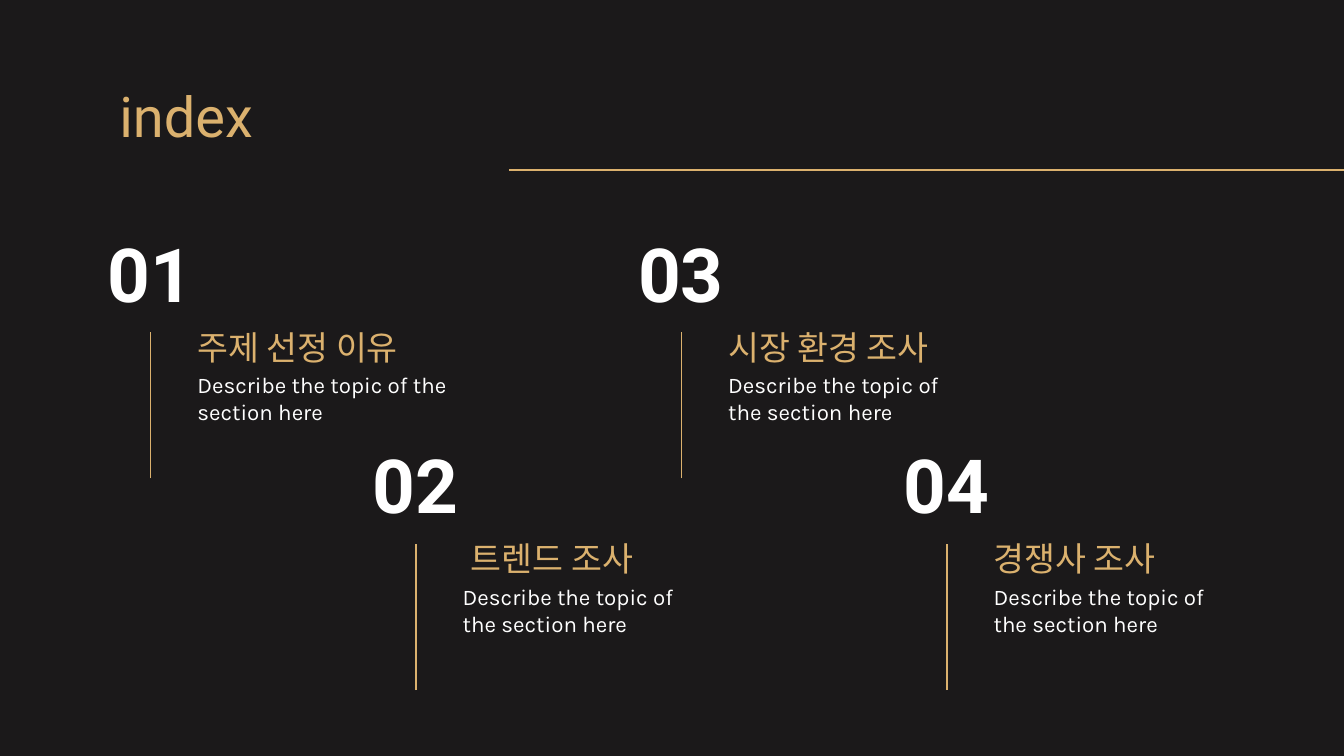
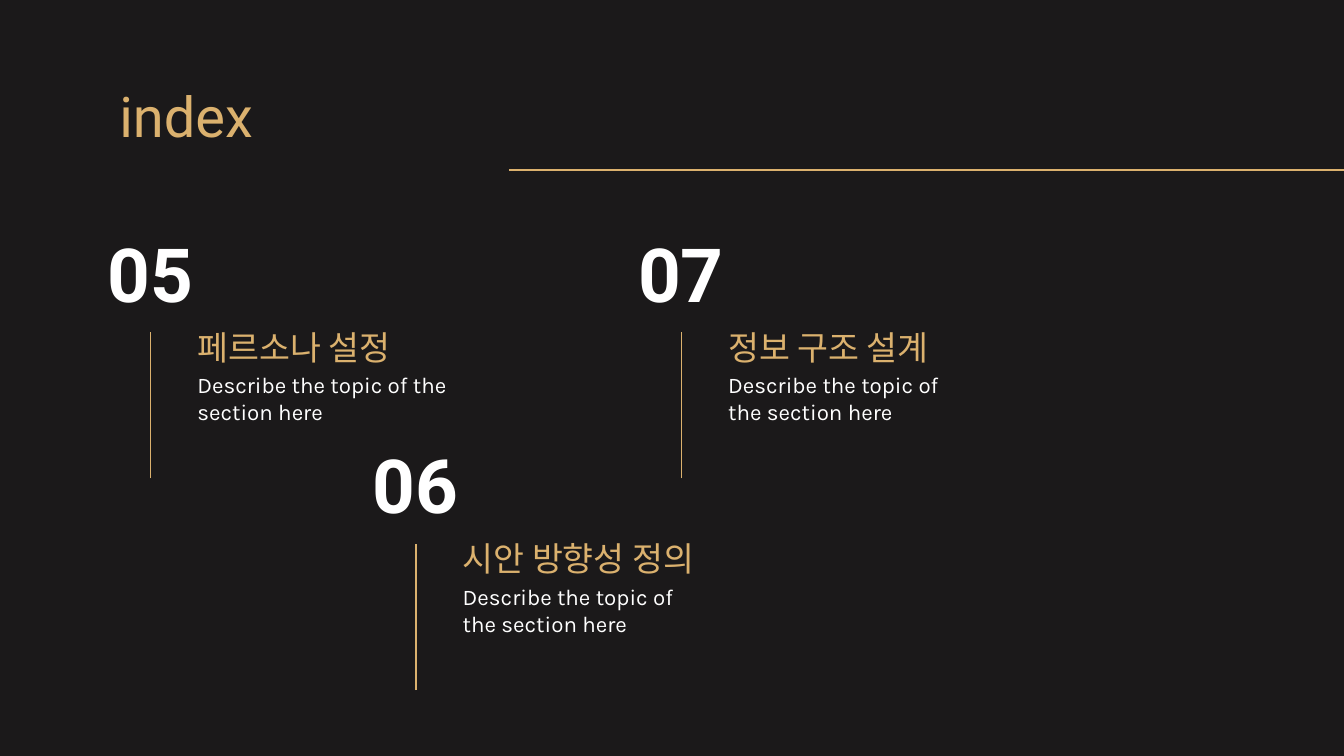
from dataclasses import dataclass

from pptx import Presentation
from pptx import util as u
from pptx.dml import color
from pptx.enum import shapes, text
from pptx.oxml import ns
from lxml import etree

PX = 4572
SLIDE_WIDTH, SLIDE_HEIGHT = 2000, 1125
COLUMN_STEP, ROW_STEP = 395, 315
NUMBER_LEFT, LINE_LEFT, TEXT_LEFT = 140, 224, 274
NUMBER_TOP, NAME_TOP, LINE_TOP, DESCRIPTION_TOP = 338, 450, 494, 533
LINE_HEIGHT = 218
DESCRIPTION = "Describe the topic of the section here"


@dataclass(frozen=True)
class Theme:
    background: str = "1B191A"
    gold: str = "DBB16E"
    white: str = "FFFFFF"
    heading_font: str = "Roboto"
    body_font: str = "Karla"
    title_size: int = 30
    number_size: int = 40
    topic_size: int = 18
    body_size: int = 12
    line_width: float = 0.75
    inset: int = 20


@dataclass(frozen=True)
class Topic:
    name: str
    width: int = 408
    description_width: int = 408
    indent: int = 0


THEME = Theme()

INDEX_PAGES = [
    [
        Topic("주제 선정 이유", description_width=442),
        Topic("트렌드 조사", indent=12),
        Topic("시장 환경 조사", width=520),
        Topic("경쟁사 조사"),
    ],
    [
        Topic("페르소나 설정", description_width=442),
        Topic("시안 방향성 정의", width=520),
        Topic("정보 구조 설계", width=520),
    ],
]


def px(length: int) -> u.Emu:
    return u.Emu(length * PX)


def add_text(slide, content: str, left: int, top: int, width: int, height: int, *,
             size: int, ink: str, font: str = THEME.heading_font, bold: bool = False,
             anchor=text.MSO_ANCHOR.MIDDLE, indent: int = 0) -> None:
    box = slide.shapes.add_textbox(px(left), px(top), px(width), px(height))
    frame = box.text_frame
    frame.word_wrap = True
    frame.vertical_anchor = anchor
    frame.margin_left = px(THEME.inset + indent)
    frame.margin_top = frame.margin_right = frame.margin_bottom = px(THEME.inset)
    run = frame.paragraphs[0].add_run()
    run.text = content
    run.font.size = u.Pt(size)
    run.font.bold = bold
    run.font.color.rgb = color.RGBColor.from_string(ink)
    run.font.name = font


def add_line(slide, start: tuple[int, int], end: tuple[int, int]) -> None:
    line = slide.shapes.add_connector(
        shapes.MSO_CONNECTOR.STRAIGHT, *map(px, start + end))
    line.line.color.rgb = color.RGBColor.from_string(THEME.gold)
    line.line.width = u.Pt(THEME.line_width)
    etree.SubElement(line._element.spPr, ns.qn("a:effectLst"))


def add_topic(slide, topic: Topic, number: int, position: int) -> None:
    across = position * COLUMN_STEP
    down = position % 2 * ROW_STEP
    text_left, line_left = TEXT_LEFT + across, LINE_LEFT + across
    line_top = LINE_TOP + down
    add_text(slide, f"{number:02}", NUMBER_LEFT + across, NUMBER_TOP + down, 218, 134,
             size=THEME.number_size, ink=THEME.white, bold=True)
    add_text(slide, topic.name, text_left, NAME_TOP + down, topic.width, 116,
             size=THEME.topic_size, ink=THEME.gold,
             anchor=text.MSO_ANCHOR.BOTTOM, indent=topic.indent)
    add_text(slide, DESCRIPTION, text_left, DESCRIPTION_TOP + down,
             topic.description_width, 88, size=THEME.body_size, ink=THEME.white,
             font=THEME.body_font, anchor=text.MSO_ANCHOR.TOP)
    add_line(slide, (line_left, line_top + LINE_HEIGHT), (line_left, line_top))


def add_index_slide(presentation, topics: list[Topic], first_number: int) -> None:
    slide = presentation.slides.add_slide(presentation.slide_layouts[6])
    fill = slide.background.fill
    fill.solid()
    fill.fore_color.rgb = color.RGBColor.from_string(THEME.background)
    add_text(slide, "index", 158, 118, 1066, 106, size=THEME.title_size, ink=THEME.gold)
    add_line(slide, (758, 253), (2004, 253))
    for position, topic in enumerate(topics):
        add_topic(slide, topic, first_number + position, position)


def main() -> None:
    presentation = Presentation()
    presentation.slide_width = px(SLIDE_WIDTH)
    presentation.slide_height = px(SLIDE_HEIGHT)
    first_number = 1
    for topics in INDEX_PAGES:
        add_index_slide(presentation, topics, first_number)
        first_number += len(topics)
    presentation.save("out.pptx")


if __name__ == "__main__":
    main()
